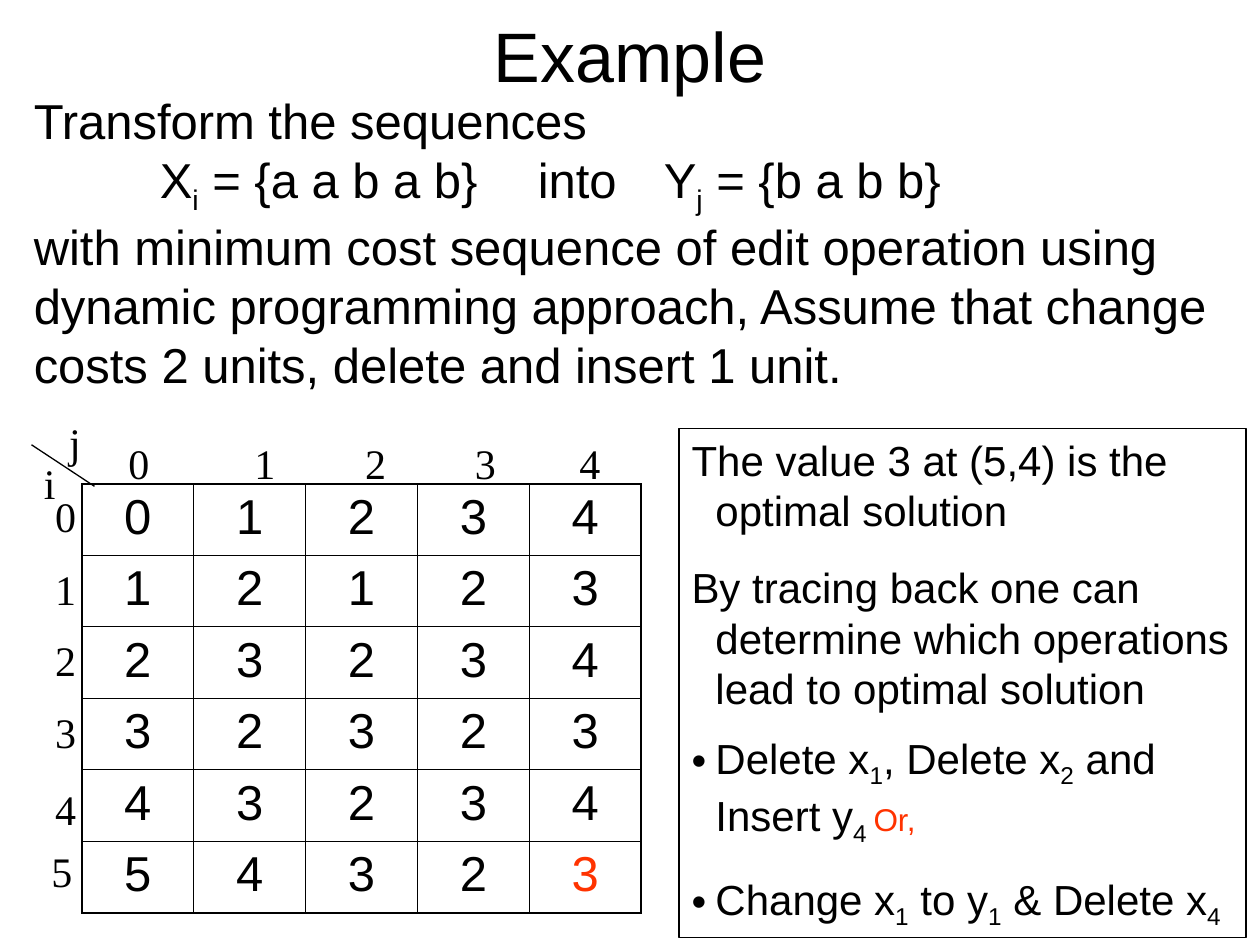
from lxml import etree
from pptx import Presentation
from pptx.dml.color import RGBColor
from pptx.enum import shapes, text
from pptx.oxml import ns
from pptx.util import Inches, Pt

BLACK = RGBColor(0x00, 0x00, 0x00)
RED = RGBColor(0xFF, 0x33, 0x00)
SUB, HOT = "subscript", "highlight"

# Content: a paragraph is a list of (text, style) runs
TITLE = [("Example", None)]
PROBLEM = [
    [("Transform the sequences", None)],
    [("\tX", None), ("i", SUB), (" = {a a b a b}\tinto\tY", None),
     ("j", SUB), (" = {b a b b}", None)],
    [("with minimum cost sequence of edit operation using dynamic programming "
      "approach, Assume that change costs 2 units, delete and insert 1 unit.", None)],
]
PROBLEM_TABS = (1, 4, 5)
COSTS = [
    [0, 1, 2, 3, 4],
    [1, 2, 1, 2, 3],
    [2, 3, 2, 3, 4],
    [3, 2, 3, 2, 3],
    [4, 3, 2, 3, 4],
    [5, 4, 3, 2, 3],
]
OPTIMUM = (5, 4)
COLUMN_LABEL_LEFTS = (0.92, 1.92, 2.8, 3.67, 4.5)
ROW_LABEL_SPOTS = ((0.34, 3.84), (0.34, 4.42), (0.34, 4.99),
                   (0.34, 5.56), (0.34, 6.17), (0.31, 6.66))
# Space before, bulleted, runs
FINDINGS = [
    (0, False, [("The value 3 at (5,4) is the optimal solution", None)]),
    (15, False, [("By tracing back one can determine which operations "
                  "lead to optimal solution", None)]),
    (11.2, True, [("Delete x", None), ("1", SUB), (", Delete x", None), ("2", SUB),
                  (" and Insert y", None), ("4 ", SUB), ("Or,", HOT)]),
    (15, True, [("Change x", None), ("1", SUB), (" to y", None), ("1", SUB),
                (" & Delete x", None), ("4", SUB)]),
]


def fill_paragraph(paragraph, runs, size, font="Arial", color=BLACK):
    paragraph.font.size = Pt(size)
    paragraph.font.name = font
    paragraph.font.color.rgb = color
    for words, style in runs:
        run = paragraph.add_run()
        run.text = words
        run.font.size = Pt(18 if style == HOT else size)
        run.font.name = font
        run.font.color.rgb = RED if style == HOT else color
        if style == SUB:
            run._r.get_or_add_rPr().set("baseline", "-25000")


def paragraphs_for(frame, count):
    return [frame.paragraphs[0]] + [frame.add_paragraph() for _ in range(count - 1)]


def add_text_box(slide, left, top, width, height, wrap=True):
    shape = slide.shapes.add_textbox(*map(Inches, (left, top, width, height)))
    shape.text_frame.word_wrap = wrap
    return shape.text_frame


def add_label(slide, words, left, top, width=0.36, wrap=False):
    frame = add_text_box(slide, left, top, width, 0.5, wrap)
    fill_paragraph(frame.paragraphs[0], [(words, None)], 24, "Times New Roman")


def set_borders(cell, widths):
    properties = cell._tc.get_or_add_tcPr()
    for index, (side, width) in enumerate(widths.items()):
        line = etree.Element(ns.qn(f"a:ln{side}"), w=str(Pt(width)))
        solid = etree.SubElement(line, ns.qn("a:solidFill"))
        etree.SubElement(solid, ns.qn("a:srgbClr"), val=str(BLACK))
        properties.insert(index, line)


def add_cost_table(slide):
    rows, columns = len(COSTS), len(COSTS[0])
    table = slide.shapes.add_table(rows, columns, Inches(0.65), Inches(3.84),
                                   Inches(4.44), Inches(3.4)).table
    table.first_row = table.horz_banding = False
    for r, values in enumerate(COSTS):
        for c, value in enumerate(values):
            cell = table.cell(r, c)
            cell.fill.background()
            outer = {"L": c == 0, "R": c == columns - 1, "T": r == 0, "B": r == rows - 1}
            set_borders(cell, {side: 1.08 if edge else 0.45 for side, edge in outer.items()})
            paragraph = cell.text_frame.paragraphs[0]
            paragraph.alignment = text.PP_ALIGN.CENTER
            fill_paragraph(paragraph, [(str(value), None)], 28,
                           color=RED if (r, c) == OPTIMUM else BLACK)


def add_findings(slide):
    box = slide.shapes.add_shape(shapes.MSO_SHAPE.RECTANGLE, Inches(5.39), Inches(3.4),
                                 Inches(4.5), Inches(4.04))
    box.shadow.inherit = False
    box.fill.background()
    box.line.color.rgb = BLACK
    box.line.width = Pt(0.75)
    frame = box.text_frame
    frame.word_wrap = True
    frame.vertical_anchor = text.MSO_ANCHOR.TOP
    for paragraph, (space, bulleted, runs) in zip(
            paragraphs_for(frame, len(FINDINGS)), FINDINGS):
        paragraph.alignment = text.PP_ALIGN.LEFT
        paragraph.space_before = Pt(space)
        properties = paragraph._p.get_or_add_pPr()
        properties.set("marL", str(Inches(0.19)))
        properties.set("indent", str(-Inches(0.19)))
        if bulleted:
            etree.SubElement(properties, ns.qn("a:buFont"), typeface="Arial")
            etree.SubElement(properties, ns.qn("a:buChar"), char="•")
        fill_paragraph(paragraph, runs, 24)


def main():
    presentation = Presentation()
    presentation.slide_width, presentation.slide_height = Inches(10), Inches(7.5)
    slide = presentation.slides.add_slide(presentation.slide_layouts[6])

    # Title
    frame = add_text_box(slide, 0.5, 0.17, 9, 0.53)
    frame.vertical_anchor = text.MSO_ANCHOR.MIDDLE
    frame.paragraphs[0].alignment = text.PP_ALIGN.CENTER
    fill_paragraph(frame.paragraphs[0], TITLE, 40)

    # Problem statement
    frame = add_text_box(slide, 0.17, 0.67, 9.5, 2.5)
    for paragraph, runs in zip(paragraphs_for(frame, len(PROBLEM)), PROBLEM):
        if "\t" in runs[0][0]:
            tabs = etree.SubElement(paragraph._p.get_or_add_pPr(), ns.qn("a:tabLst"))
            for stop in PROBLEM_TABS:
                etree.SubElement(tabs, ns.qn("a:tab"), pos=str(Inches(stop)), algn="l")
        fill_paragraph(paragraph, runs, 28)

    # Cost table with its row and column labels
    add_cost_table(slide)
    for number, (left, top) in enumerate(ROW_LABEL_SPOTS):
        add_label(slide, str(number), left, top)
    for number, left in enumerate(COLUMN_LABEL_LEFTS):
        add_label(slide, str(number), left, 3.42)
    add_label(slide, "i", 0.25, 3.58, 0.29)
    add_label(slide, "j", 0.45, 3.26, 0.5, wrap=True)

    # Diagonal between the index names
    diagonal = slide.shapes.add_connector(shapes.MSO_CONNECTOR.STRAIGHT, Inches(0.75),
                                          Inches(3.86), Inches(0.25), Inches(3.53))
    diagonal.line.color.rgb = BLACK
    diagonal.line.width = Pt(0.75)
    etree.SubElement(diagonal._element.spPr, ns.qn("a:effectLst"))

    add_findings(slide)
    presentation.save("out.pptx")


if __name__ == "__main__":
    main()
